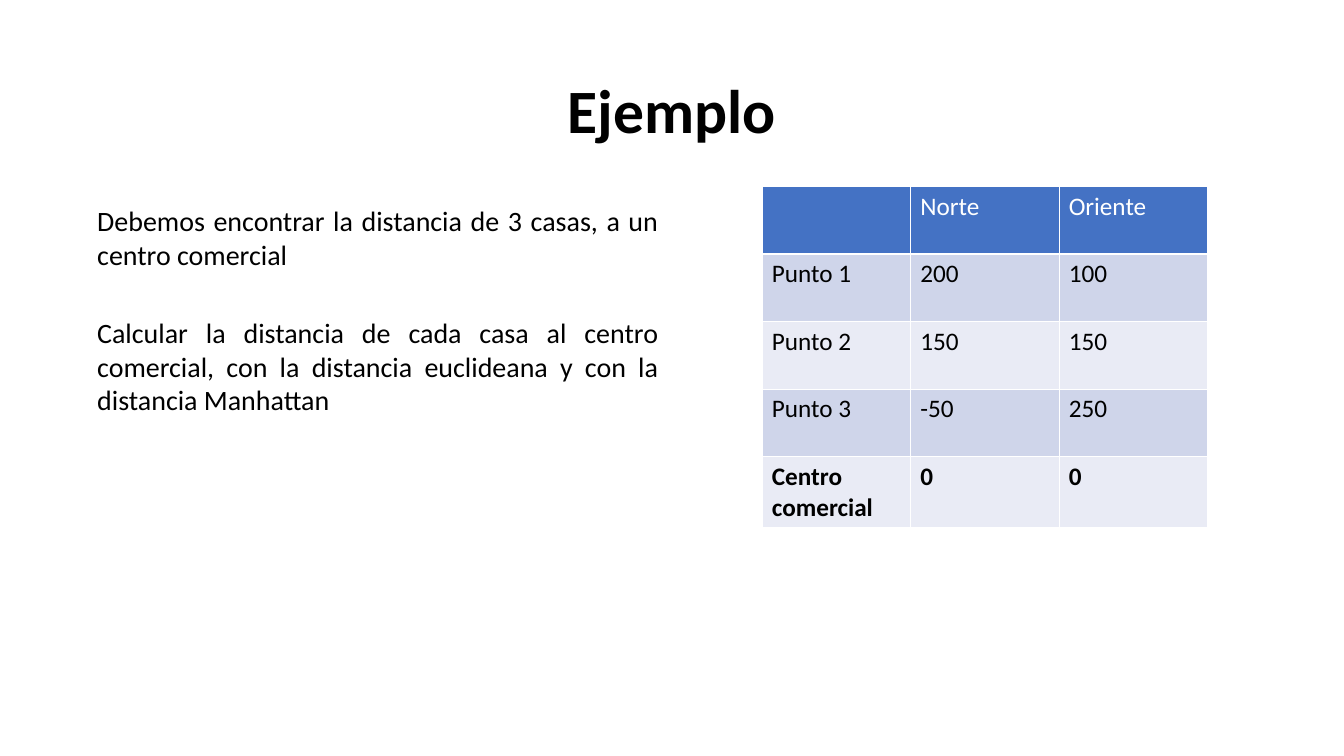
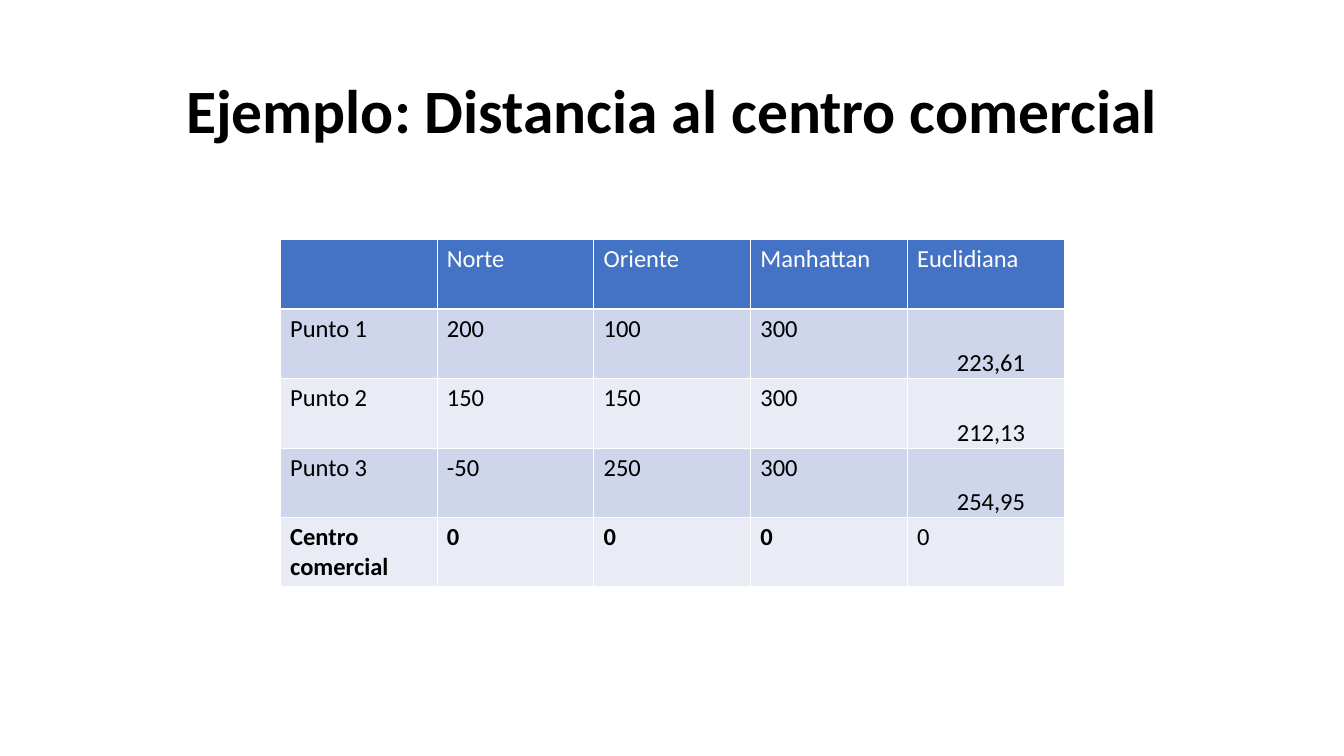
from dataclasses import dataclass
from typing import Any

from lxml import etree
from pptx import Presentation
from pptx.dml.color import RGBColor
from pptx.enum.text import MSO_ANCHOR, PP_ALIGN
from pptx.oxml.ns import qn
from pptx.util import Cm, Pt

CENTER, JUSTIFY = PP_ALIGN.CENTER, PP_ALIGN.JUSTIFY
TOP, MIDDLE, BOTTOM = MSO_ANCHOR.TOP, MSO_ANCHOR.MIDDLE, MSO_ANCHOR.BOTTOM

FONT = "Calibri"
COLORS = {
    "ink": "000000",
    "paper": "FFFFFF",
    "head": "4472C4",
    "odd": "CFD5EA",
    "even": "E9EBF5",
}

# Cell formats: usual cells, and results set low and indented
PLAIN = {"vertical_anchor": TOP, "margin_left": Cm(0.5), "margin_right": Cm(0.5),
         "margin_top": Cm(0.25), "margin_bottom": Cm(0.25)}
RESULT = {"vertical_anchor": BOTTOM, "margin_left": Cm(2.5), "margin_right": Cm(0),
          "margin_top": Cm(0), "margin_bottom": Cm(0)}

# Table contents
POINTS = [
    ["", "Norte", "Oriente"],
    ["Punto 1", "200", "100"],
    ["Punto 2", "150", "150"],
    ["Punto 3", "-50", "250"],
    ["Centro comercial", "0", "0"],
]
RESULTS = [
    ["Manhattan", "Euclidiana"],
    ["300", "223,61"],
    ["300", "212,13"],
    ["300", "254,95"],
    ["0", "0"],
]


@dataclass
class Box:
    left: float
    top: float
    width: float
    height: float
    lines: list[str]
    anchor: Any
    font: dict[str, Any]
    para: dict[str, Any]
    gap: float = 0


@dataclass
class Grid:
    left: float
    top: float
    col: float
    row: float
    size: float
    rows: list[list[str]]


def apply(item: Any, values: dict[str, Any]) -> None:
    for name, value in values.items():
        setattr(item, name, value)


def style(para: Any, color: str, values: dict[str, Any]) -> None:
    apply(para.font, {"name": FONT, **values})
    para.font.color.rgb = RGBColor.from_string(COLORS[color])


def draw_box(slide: Any, box: Box) -> None:
    shape = slide.shapes.add_textbox(
        Cm(box.left), Cm(box.top), Cm(box.width), Cm(box.height))
    frame = shape.text_frame
    apply(frame, {"word_wrap": True, "vertical_anchor": box.anchor})
    frame.text = "\n".join(box.lines)
    for num, para in enumerate(frame.paragraphs):
        apply(para, box.para)
        if num:
            para.space_before = Pt(box.gap)
        style(para, "ink", box.font)


def draw_edges(cell: Any, base: float) -> None:
    props = cell._tc.get_or_add_tcPr()
    for side, width in {"L": 1, "R": 1, "T": 1, "B": base}.items():
        line = etree.SubElement(props, qn(f"a:ln{side}"), w=str(Pt(width)))
        fill = etree.SubElement(line, qn("a:solidFill"))
        etree.SubElement(fill, qn("a:srgbClr"), val=COLORS["paper"])


def draw_grid(slide: Any, grid: Grid) -> None:
    high, wide = len(grid.rows), len(grid.rows[0])
    table = slide.shapes.add_table(
        high, wide, Cm(grid.left), Cm(grid.top),
        Cm(grid.col * wide), Cm(grid.row * high)).table
    table.horz_banding = False
    for col in table.columns:
        col.width = Cm(grid.col)
    for r, texts in enumerate(grid.rows):
        table.rows[r].height = Cm(grid.row)
        band = "head" if r == 0 else "odd" if r % 2 else "even"
        for c, text in enumerate(texts):
            cell = table.cell(r, c)
            last = r == high - 1
            result = c == 4
            apply(cell, RESULT if result and 0 < r < high - 1 else PLAIN)
            draw_edges(cell, 1 if r else 3)
            cell.fill.solid()
            cell.fill.fore_color.rgb = RGBColor.from_string(COLORS[band])
            cell.text = text
            style(cell.text_frame.paragraphs[0], "ink" if r else "paper",
                  {"size": Pt(grid.size), "bold": last and not result})


def add_slide(deck: Any, title: str) -> Any:
    slide = deck.slides.add_slide(deck.slide_layouts[6])
    draw_box(slide, Box(4.65, 2.03, 58.42, 7.37, [title], MIDDLE,
                        {"size": Pt(88), "bold": True},
                        {"alignment": CENTER, "line_spacing": 0.9}))
    return slide


def main() -> None:
    deck = Presentation()
    apply(deck, {"slide_width": Cm(67.73), "slide_height": Cm(38.1)})

    # Problem and coordinates
    slide = add_slide(deck, "Ejemplo")
    draw_box(slide, Box(4.65, 10.13, 28.78, 24.18, [
        "Debemos encontrar la distancia de 3 casas, a un centro comercial",
        "Calcular la distancia de cada casa al centro comercial, con la "
        "distancia euclideana y con la distancia Manhattan",
    ], TOP, {"size": Pt(40)}, {"alignment": JUSTIFY}, 64))
    draw_grid(slide, Grid(38.4, 9.4, 7.48, 3.4, 36, POINTS))

    # Distances to the shopping centre
    slide = add_slide(deck, "Ejemplo: Distancia al centro comercial")
    rows = [point + result for point, result in zip(POINTS, RESULTS)]
    draw_grid(slide, Grid(14.12, 12.07, 7.9, 3.5, 35, rows))

    deck.save("out.pptx")


if __name__ == "__main__":
    main()
